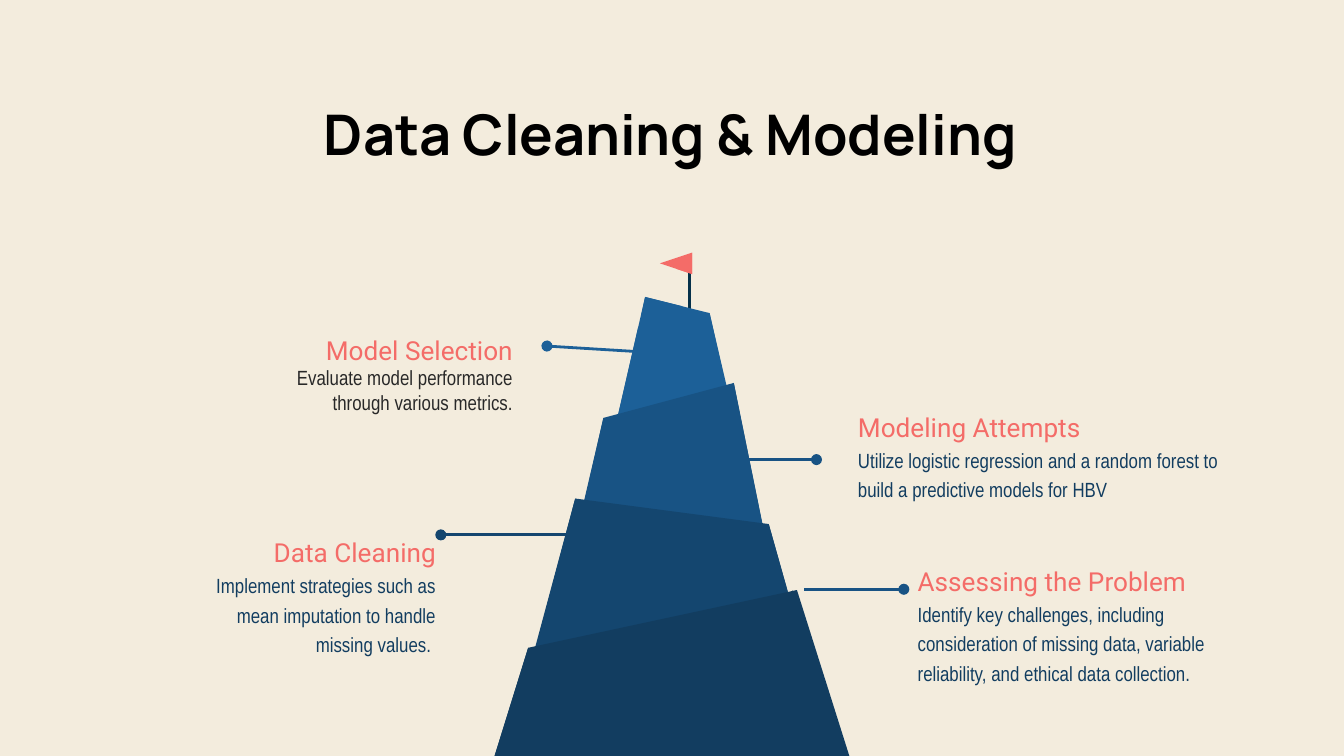
"""Build a slide showing data cleaning and modeling as a mountain climb."""
from dataclasses import dataclass
from typing import Optional

from lxml import etree
from pptx import Presentation
from pptx import util as u
from pptx.dml.color import RGBColor
from pptx.enum import shapes, text
from pptx.oxml import ns

COLUMNS = 100
SLIDE_WIDTH, SLIDE_HEIGHT = u.Inches(10), u.Inches(5.625)
CELL = SLIDE_WIDTH // COLUMNS
INSET = u.Inches(0.1)

Point = tuple[float, float]


@dataclass(frozen=True)
class Theme:
    sand: str = "F3ECDD"
    ink: str = "000000"
    charcoal: str = "282828"
    coral: str = "F46C68"
    pole: str = "05314A"
    summit: str = "1C6098"
    upper: str = "185384"
    lower: str = "14466F"
    base: str = "123D60"
    title_font: str = "Manrope"
    heading_font: str = "Roboto"
    body_font: str = "Arial Narrow"
    title_size: float = 30
    heading_size: float = 14
    body_size: float = 11
    line_width: float = 1.5


THEME = Theme()


@dataclass(frozen=True)
class Box:
    column: float
    row: float
    columns: float
    rows: float


@dataclass(frozen=True)
class Layer:
    color: str
    outlines: tuple[tuple[Point, ...], ...]


@dataclass(frozen=True)
class Pointer:
    color: str
    dot: Point
    mountain_end: Point


@dataclass(frozen=True)
class Stage:
    heading: str
    body: str
    box: Box
    align: text.PP_ALIGN
    body_color: str = THEME.base
    spacing: Optional[float] = 1.2
    space_after: float = 0


POLE = Box(51.2, 19.9, 0.2, 3.6)
TITLE_BOX = Box(16.8, 4.75, 66.2, 10.3)
PEAK = (
    Layer(THEME.summit, (
        ((48, 22.1), (45.9, 31.3), (54.2, 29.3), (52.8, 23.3)),
        ((48, 22.1), (47.7, 23.5), (50.8, 22.8)),
        ((47.5, 24.3), (46, 30.8), (50.3, 29.6), (49.5, 25.3)),
        ((52.8, 23.3), (49.5, 25.3), (50.3, 29.6), (54, 28.7)))),
    Layer(THEME.upper, (
        ((54.6, 28.5), (44.9, 31.1), (43.1, 38.8), (56.9, 39.8)),
        ((47.8, 33.7), (44.5, 37.4), (49.5, 38)),
        ((44.9, 31.1), (43.5, 37.3), (44.5, 37.4), (47.8, 33.7)),
        ((54.6, 28.5), (47.8, 33.7), (49.6, 38), (56.7, 38.9)))),
    Layer(THEME.lower, (
        ((42.8, 37.1), (39.3, 50.1), (59.8, 48.2), (57.2, 39)),
        ((48.5, 41), (41.8, 47.7), (47.8, 46.4)),
        ((57.2, 39), (48.5, 41), (47.8, 46.4), (58.6, 44)),
        ((42.8, 37.1), (39.9, 48.1), (41.7, 47.7), (48.5, 41)))),
    Layer(THEME.base, (
        ((59.3, 43.9), (39.3, 48.2), (36.8, 56.25), (63.2, 56.25)),
        ((59.3, 43.9), (45.3, 50.6), (54.5, 56.25)),
        ((39.3, 48.2), (36.8, 56.25), (45.3, 50.6)),
        ((59, 43.9), (54.2, 56.25), (62.8, 56.25)))),
    Layer(THEME.coral, (
        ((51.5, 18.8), (49.1, 19.6), (51.5, 20.4)),
        ((51.5, 18.8), (50.3, 20), (51.2, 20.3), (51.5, 20.4)))),
)
POINTERS = (
    Pointer(THEME.lower, (32.8, 39.8), (44.1, 39.8)),
    Pointer(THEME.summit, (40.7, 25.75), (48, 26.2)),
    Pointer(THEME.upper, (60.75, 34.2), (53.3, 34.2)),
    Pointer(THEME.upper, (67.25, 43.85), (59.8, 43.85)),
)
STAGES = (
    Stage("Model Selection", "Evaluate model performance through various metrics.",
          Box(17.95, 23.85, 21.2, 10.4), text.PP_ALIGN.RIGHT, THEME.charcoal, None, 16),
    Stage("Modeling Attempts",
          "Utilize logistic regression and a random forest to build a predictive models for HBV",
          Box(62.85, 29.15, 31.1, 13.4), text.PP_ALIGN.LEFT),
    Stage("Assessing the Problem",
          "Identify key challenges, including consideration of missing data, variable "
          "reliability, and ethical data collection.",
          Box(67.3, 40.6, 25, 15.6), text.PP_ALIGN.LEFT),
    Stage("Data Cleaning",
          "Implement strategies such as mean imputation to handle missing values. ",
          Box(12.22, 38.47, 21.2, 15.6), text.PP_ALIGN.RIGHT),
)


def cells(*counts: float) -> list[u.Emu]:
    """Turn grid counts into lengths."""
    return [u.Emu(round(count * CELL)) for count in counts]


def bounds(box: Box) -> list[u.Emu]:
    """Give left, top, width and height of a box."""
    return cells(box.column, box.row, box.columns, box.rows)


def paint(shape, color: str) -> None:
    """Fill a shape flatly, with no outline or shadow."""
    shape.fill.solid()
    shape.fill.fore_color.rgb = RGBColor.from_string(color)
    shape.line.fill.background()
    shape.shadow.inherit = False


def draw_layer(slide, layer: Layer) -> None:
    """Draw a layer's silhouette and the facets on it."""
    for outline in layer.outlines:
        start, *others = [cells(*corner) for corner in outline]
        builder = slide.shapes.build_freeform(*start)
        builder.add_line_segments(others, close=True)
        paint(builder.convert_to_shape(), layer.color)


def draw_pointer(slide, pointer: Pointer) -> None:
    """Draw a line that starts with a dot and ends on the mountain."""
    line = slide.shapes.add_connector(
        shapes.MSO_CONNECTOR.STRAIGHT, *cells(*pointer.dot, *pointer.mountain_end))
    line.line.color.rgb = RGBColor.from_string(pointer.color)
    line.line.width = u.Pt(THEME.line_width)
    etree.SubElement(line.line._get_or_add_ln(), ns.qn("a:headEnd"), type="oval")
    etree.SubElement(line._element.spPr, ns.qn("a:effectLst"))


def add_frame(slide, box: Box, anchor: text.MSO_ANCHOR):
    """Add a wrapping text box with equal insets and return its frame."""
    frame = slide.shapes.add_textbox(*bounds(box)).text_frame
    frame.word_wrap = True
    frame.vertical_anchor = anchor
    frame.margin_left = frame.margin_right = INSET
    frame.margin_top = frame.margin_bottom = INSET
    return frame


def add_run(paragraph, words: str, font: str, size: float, color: str, bold: bool = False) -> None:
    """Append one formatted run to a paragraph."""
    run = paragraph.add_run()
    run.text = words
    run.font.name = font
    run.font.size = u.Pt(size)
    run.font.bold = bold
    run.font.color.rgb = RGBColor.from_string(color)


def draw_title(slide, words: str) -> None:
    """Write the centred slide title."""
    title = add_frame(slide, TITLE_BOX, text.MSO_ANCHOR.MIDDLE).paragraphs[0]
    title.alignment = text.PP_ALIGN.CENTER
    add_run(title, words, THEME.title_font, THEME.title_size, THEME.ink, bold=True)


def draw_stage(slide, stage: Stage) -> None:
    """Write a stage heading with its explanation."""
    frame = add_frame(slide, stage.box, text.MSO_ANCHOR.TOP)
    heading, body = frame.paragraphs[0], frame.add_paragraph()
    for paragraph in (heading, body):
        paragraph.alignment = stage.align
        paragraph.line_spacing = stage.spacing
    body.space_after = u.Pt(stage.space_after)
    add_run(heading, stage.heading, THEME.heading_font, THEME.heading_size, THEME.coral)
    add_run(body, stage.body, THEME.body_font, THEME.body_size, stage.body_color)


def main() -> None:
    """Assemble and save the slide."""
    deck = Presentation()
    deck.slide_width, deck.slide_height = SLIDE_WIDTH, SLIDE_HEIGHT
    slide = deck.slides.add_slide(deck.slide_layouts[6])
    slide.background.fill.solid()
    slide.background.fill.fore_color.rgb = RGBColor.from_string(THEME.sand)
    draw_title(slide, "Data Cleaning & Modeling")
    paint(slide.shapes.add_shape(shapes.MSO_SHAPE.RECTANGLE, *bounds(POLE)), THEME.pole)
    for draw, parts in ((draw_layer, PEAK), (draw_pointer, POINTERS), (draw_stage, STAGES)):
        for part in parts:
            draw(slide, part)
    deck.save("out.pptx")


if __name__ == "__main__":
    main()
